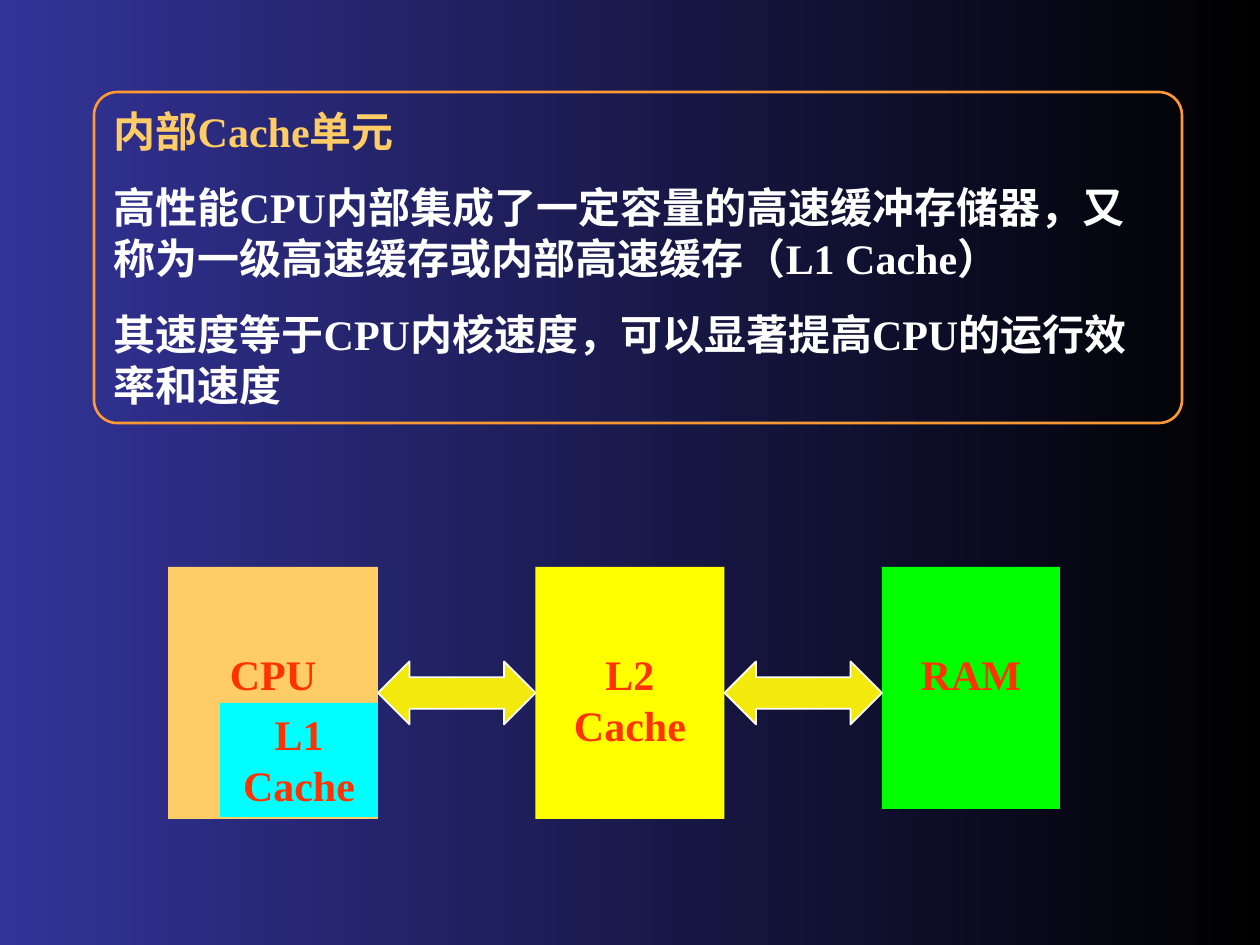
from pptx import Presentation
from pptx.dml.color import RGBColor
from pptx.enum.shapes import MSO_SHAPE
from pptx.enum.text import MSO_ANCHOR, PP_ALIGN
from pptx.util import Emu, Pt

PX_PER_INCH = 126
FONT = "Times New Roman"
COLORS = {
    "navy": "333399", "black": "000000", "white": "FFFFFF",
    "frame": "FF9933", "heading": "FFCC66", "label": "FF3300",
    "cpu": "FFCC66", "l1": "00FFFF", "l2": "FFFF00", "ram": "00FF00",
    "arrow": "F4E90C",
}


def px(length):
    return Emu(round(length * 914400 / PX_PER_INCH))


def color(name):
    return RGBColor.from_string(COLORS[name])


def paint_background(page):
    fill = page.background.fill
    fill.gradient()
    fill.gradient_angle = 0
    for stop, position, name in zip(fill.gradient_stops, (0, 1), ("navy", "black")):
        stop.position = position
        stop.color.rgb = color(name)


def add_box(page, kind, box, fill=None, line=None, line_width=1):
    shape = page.shapes.add_shape(kind, *map(px, box))
    shape.shadow.inherit = False
    if fill:
        shape.fill.solid()
        shape.fill.fore_color.rgb = color(fill)
    else:
        shape.fill.background()
    if line:
        shape.line.color.rgb = color(line)
        shape.line.width = Pt(line_width)
    else:
        shape.line.fill.background()
    return shape


def write(shape, paragraphs, align, anchor, top_inset=6):
    """Fill the shape with (text, color name) paragraphs."""
    frame = shape.text_frame
    frame.word_wrap = True
    frame.vertical_anchor = anchor
    frame.margin_left = frame.margin_right = px(13)
    frame.margin_top, frame.margin_bottom = px(top_inset), px(6)
    for index, (text, name) in enumerate(paragraphs):
        para = frame.add_paragraph() if index else frame.paragraphs[0]
        para.alignment = align
        if index:
            para.space_before = Pt(15)
        span = para.add_run()
        span.text = text
        span.font.name = FONT
        span.font.size = Pt(24)
        span.font.bold = True
        span.font.color.rgb = color(name)


def add_explanation(page, box):
    panel = add_box(page, MSO_SHAPE.ROUNDED_RECTANGLE, box, line="frame", line_width=1.5)
    panel.adjustments[0] = 0.07
    write(panel, [
        ("内部Cache单元", "heading"),
        ("高性能CPU内部集成了一定容量的高速缓冲存储器，又称为一级高速缓存或内部高速缓存（L1 Cache）", "white"),
        ("其速度等于CPU内核速度，可以显著提高CPU的运行效率和速度", "white"),
    ], PP_ALIGN.LEFT, MSO_ANCHOR.MIDDLE)


def add_block(page, box, text, fill, top_inset):
    block = add_box(page, MSO_SHAPE.RECTANGLE, box, fill)
    write(block, [(text, "label")], PP_ALIGN.CENTER, MSO_ANCHOR.TOP, top_inset)


def add_memory_diagram(page, box):
    """Units in a row, with a double arrow filling each gap."""
    left, top, width, height = box
    gap, arrow_height = 157.5, 63
    units = [("CPU", "cpu", 210, height), ("L2 Cache", "l2", 189, height),
             ("RAM", "ram", 178, height - 10)]
    x = left
    arrow_lefts = []
    for text, fill, unit_width, unit_height in units:
        add_block(page, (x, top, unit_width, unit_height), text, fill, 82)
        arrow_lefts.append(x + unit_width)
        x += unit_width + gap

    l1_width = 158
    add_block(page, (arrow_lefts[0] - l1_width, top + 136, l1_width, 114),
              "L1 Cache", "l1", 6)

    arrow_top = top + (height - arrow_height) / 2
    for arrow_left in arrow_lefts[:-1]:
        arrow = add_box(page, MSO_SHAPE.LEFT_RIGHT_ARROW,
                        (arrow_left, arrow_top, gap, arrow_height), "arrow", "white")
        arrow.adjustments[0] = 0.5
        arrow.adjustments[1] = 0.5


def main():
    deck = Presentation()
    deck.slide_width, deck.slide_height = px(1260), px(945)
    page = deck.slides.add_slide(deck.slide_layouts[6])
    paint_background(page)
    add_explanation(page, (94, 92, 1088, 331))
    add_memory_diagram(page, (168, 567, 892, 252))
    deck.save("out.pptx")


if __name__ == "__main__":
    main()
